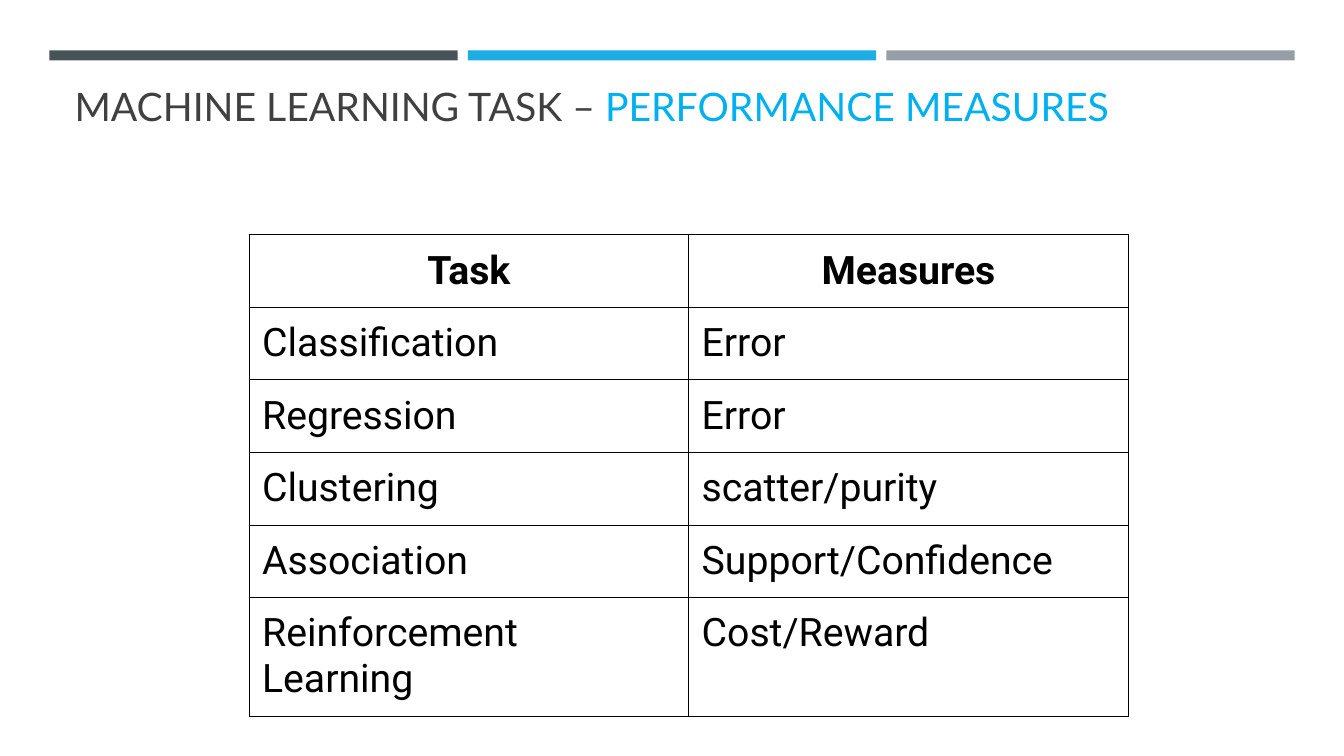
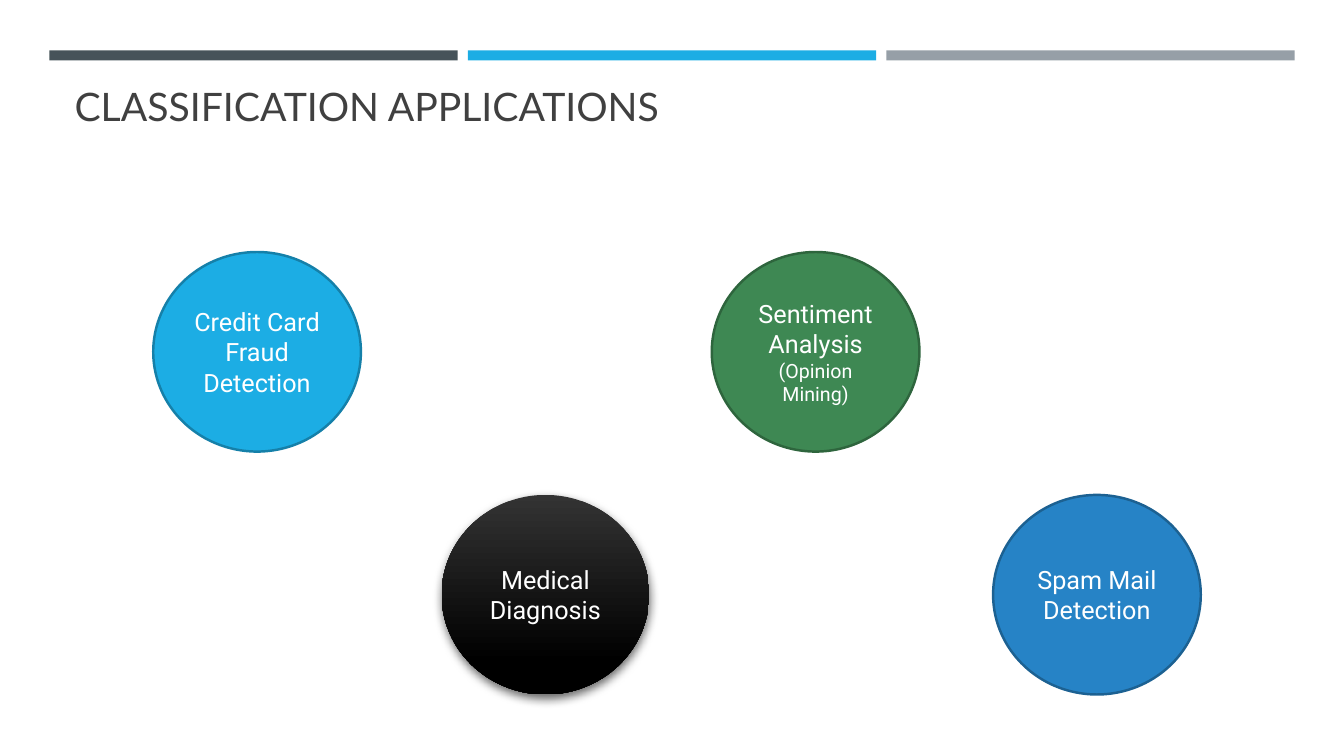
from lxml.etree import SubElement
from pptx import Presentation
from pptx.dml.color import RGBColor as Rgb
from pptx.enum.shapes import MSO_SHAPE as Form
from pptx.enum.text import MSO_ANCHOR as Anchor, PP_ALIGN as Align
from pptx.oxml import parse_xml
from pptx.oxml.ns import nsdecls, qn
from pptx.util import Pt

PX = 9144
WHITE = Rgb(0xFF, 0xFF, 0xFF)
BLACK = Rgb(0, 0, 0)
COAL = Rgb(0x33, 0x33, 0x33)
INK = Rgb(0x40, 0x40, 0x40)
SLATE = Rgb(0x46, 0x53, 0x59)
GREY = Rgb(0x96, 0x9F, 0xA7)
CYAN = Rgb(0x1C, 0xAD, 0xE4)
TEAL = Rgb(0x15, 0x80, 0xA9)
SKY = Rgb(0x00, 0xB0, 0xF0)
GREEN = Rgb(0x3E, 0x88, 0x53)
PINE = Rgb(0x2E, 0x65, 0x3D)
BLUE = Rgb(0x26, 0x83, 0xC6)
NAVY = Rgb(0x1C, 0x61, 0x92)

BANDS = [SLATE, CYAN, GREY]
TITLES = [
    [("MACHINE LEARNING TASK – ", INK), ("PERFORMANCE MEASURES", SKY)],
    [("CLASSIFICATION APPLICATIONS", INK)],
]
ROWS = [
    ("Task", "Measures"),
    ("Classification", "Error"),
    ("Regression", "Error"),
    ("Clustering", "scatter/purity"),
    ("Association", "Support/Confidence"),
    ("Reinforcement Learning", "Cost/Reward"),
]
HIGH, LOW = 250, 491
DISCS = [
    (152, HIGH, [("Credit Card Fraud Detection", 18)], CYAN, TEAL),
    (438, LOW, [("Medical Diagnosis", 18)], None, None),
    (706, HIGH, [("Sentiment Analysis ", 18), ("(Opinion Mining)", 14)], GREEN, PINE),
    (985, LOW, [("Spam Mail Detection", 18)], BLUE, NAVY),
]


def px(*nums):
    return [n * PX for n in nums]


def style(run, face, size, color, bold=False):
    font = run.font
    font.name, font.size, font.bold = face, Pt(size), bold
    font.color.rgb = color


def write(para, text, *look):
    run = para.add_run()
    run.text = text
    style(run, *look)


def add_bands(slide, layout):
    for i, color in enumerate(BANDS):
        band = slide.shapes.add_shape(Form.RECTANGLE, *px(49 + 415 * i, 50, 405, 10))
        band.shadow.inherit = False
        band.fill.solid()
        band.fill.fore_color.rgb = color
        band.line.fill.background()
        band.element.xpath("./p:nvSpPr/p:cNvPr")[0].set("id", str(20 + i))
        layout.shapes.element.append(band.element)


def add_title(slide, parts):
    title = slide.shapes.title
    title.left, title.top, title.width, title.height = px(64, 77, 1206, 130)
    frame = title.text_frame
    frame.word_wrap = True
    frame.vertical_anchor = Anchor.TOP
    para = frame.paragraphs[0]
    para.alignment = Align.LEFT
    for text, color in parts:
        write(para, text, "Lato", 28, color)


def add_edges(cell):
    props = cell._tc.get_or_add_tcPr()
    for side in ("lnL", "lnR", "lnT", "lnB"):
        props.append(parse_xml(
            f'<a:{side} {nsdecls("a")} w="9525"><a:solidFill>'
            f'<a:srgbClr val="{BLACK}"/></a:solidFill></a:{side}>'))


def add_grid(slide):
    row, last = 72, 118
    tall = row * (len(ROWS) - 1) + last
    grid = slide.shapes.add_table(len(ROWS), 2, *px(247, 233, 872, tall)).table
    for r, texts in enumerate(ROWS):
        grid.rows[r].height = (last if r == len(ROWS) - 1 else row) * PX
        for c, text in enumerate(texts):
            cell = grid.cell(r, c)
            cell.margin_left = cell.margin_right = 13 * PX
            cell.margin_top = cell.margin_bottom = 13 * PX
            add_edges(cell)
            cell.fill.background()
            cell.text_frame.text = text
            para = cell.text_frame.paragraphs[0]
            para.alignment = Align.LEFT if r else Align.CENTER
            style(para.runs[0], "Roboto", 28, BLACK, r == 0)


def shade(disc):
    disc.fill.gradient()
    disc.fill.gradient_angle = 270
    for stop, color, at in zip(disc.fill.gradient_stops, (COAL, BLACK), (0, 0.84)):
        stop.color.rgb, stop.position = color, at
    disc.line.fill.background()
    glow = disc.element.spPr.find(qn("a:effectLst"))
    cast = SubElement(glow, qn("a:outerShdw"), blurRad=str(Pt(7)),
                      dist=str(Pt(3)), dir=str(84 * 60000), rotWithShape="0")
    tint = SubElement(cast, qn("a:srgbClr"), val=str(BLACK))
    SubElement(tint, qn("a:alpha"), val="60000")


def add_disc(slide, left, top, parts, fill, edge):
    disc = slide.shapes.add_shape(Form.OVAL, *px(left, top, 206, 198))
    disc.shadow.inherit = False
    if fill:
        disc.fill.solid()
        disc.fill.fore_color.rgb = fill
        disc.line.color.rgb = edge
        disc.line.width = Pt(1.75)
    else:
        shade(disc)
    frame = disc.text_frame
    frame.word_wrap = True
    frame.vertical_anchor = Anchor.MIDDLE
    para = frame.paragraphs[0]
    para.alignment = Align.CENTER
    for text, size in parts:
        write(para, text, "Roboto", size, WHITE)


def main():
    deck = Presentation()
    deck.slide_width, deck.slide_height = px(1333, 750)
    layout = deck.slide_layouts[5]
    tasks, uses = [deck.slides.add_slide(layout) for _ in TITLES]
    add_bands(tasks, layout)
    for slide, parts in zip((tasks, uses), TITLES):
        add_title(slide, parts)
    add_grid(tasks)
    for disc in DISCS:
        add_disc(uses, *disc)
    deck.save("out.pptx")


if __name__ == "__main__":
    main()
